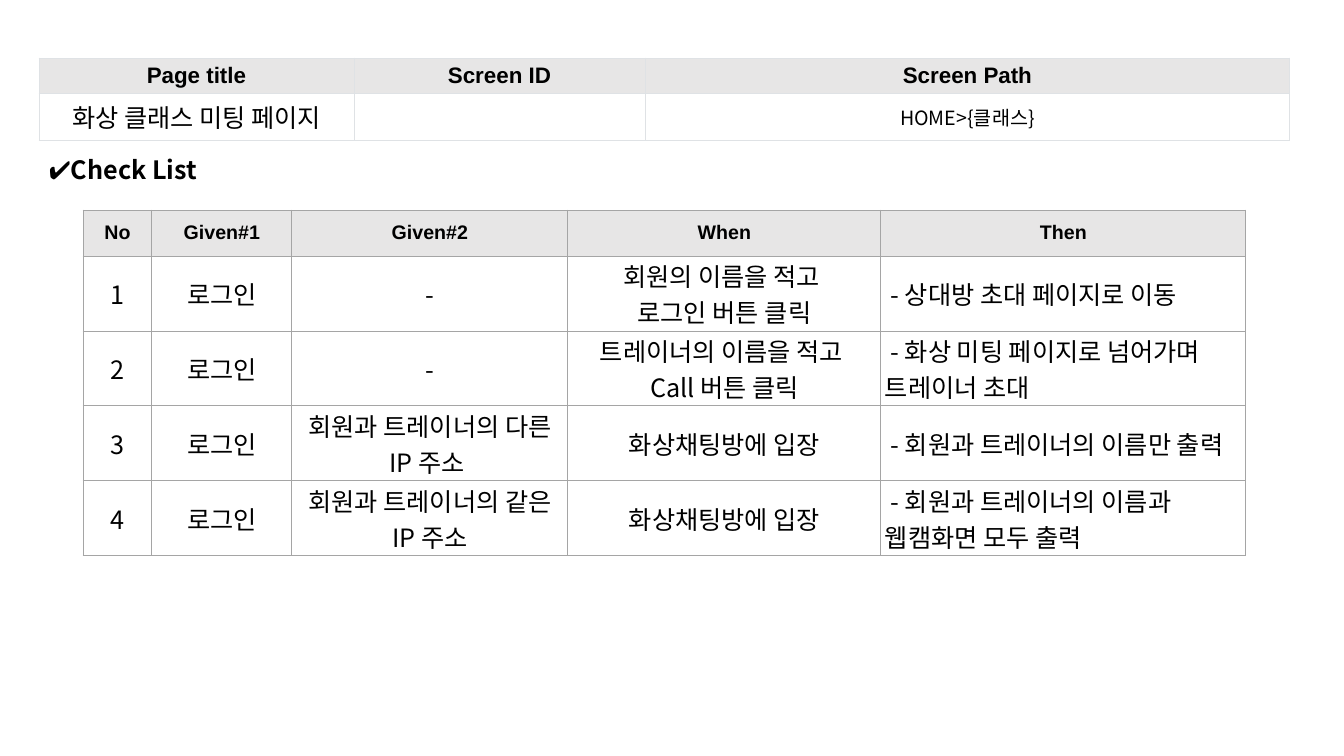
from lxml import etree
from pptx import Presentation
from pptx.dml.color import RGBColor
from pptx.enum.text import MSO_ANCHOR, PP_ALIGN
from pptx.oxml.ns import qn
from pptx.util import Emu, Pt

LEFT, CENTER = PP_ALIGN.LEFT, PP_ALIGN.CENTER
MIDDLE = MSO_ANCHOR.MIDDLE
PX = 914400 / 100.8
LATIN, KOREAN = "Arial", "Noto Sans CJK KR"
COLORS = {"text": "000000", "header": "E7E6E6", "body": "FFFFFF",
          "check_border": "A5A5A5", "info_border": "DFE2E5"}

# Content: line breaks separate paragraphs
HEADING = "✔Check List"
CHECKS = [
    ("No", "Given#1", "Given#2", "When", "Then"),
    ("1", "로그인", "-", "회원의 이름을 적고 \n로그인 버튼 클릭", " - 상대방 초대 페이지로 이동"),
    ("2", "로그인", "-", "트레이너의 이름을 적고 \nCall 버튼 클릭",
     " - 화상 미팅 페이지로 넘어가며 트레이너 초대"),
    ("3", "로그인", "회원과 트레이너의 다른 IP 주소 ", "화상채팅방에 입장",
     " - 회원과 트레이너의 이름만 출력"),
    ("4", "로그인", "회원과 트레이너의 같은 IP 주소", "화상채팅방에 입장",
     " - 회원과 트레이너의 이름과 웹캠화면 모두 출력"),
]
INFO = [("Page title", "Screen ID", "Screen Path"),
        ("화상 클래스 미팅 페이지", "", "HOME>{클래스}")]

# Layout in px; insets are (horizontal, vertical) for header and body rows
TABLES = [
    {"rows": CHECKS, "at": (83, 210), "widths": (69, 140, 276, 313, 365),
     "heights": (46, 75), "insets": ((4, 2), (4, 1)), "border": "check_border",
     "header_size": 14, "sizes": (18,) * 5, "aligns": (CENTER,) * 4 + (LEFT,)},
    {"rows": INFO, "at": (39, 58), "widths": (315, 291, 645),
     "heights": (35, 47), "insets": ((11, 5), (11, 5)), "border": "info_border",
     "header_size": 16, "sizes": (18, 18, 14), "aligns": (CENTER,) * 3},
]
HEADING_AT = (39, 149, 186, 40)


def px(value):
    return Emu(round(value * PX))


def write(frame, text, size, font, bold, align):
    for index, line in enumerate(text.split("\n")):
        para = frame.paragraphs[0] if index == 0 else frame.add_paragraph()
        para.alignment = align
        if not line:
            continue
        span = para.add_run()
        span.text = line
        span.font.size, span.font.bold, span.font.name = Pt(size), bold, font
        span.font.color.rgb = RGBColor.from_string(COLORS["text"])
        for script in ("a:ea", "a:sym"):
            etree.SubElement(span.font._element, qn(script), typeface=font)


def set_borders(cell, color):
    properties = cell._tc.get_or_add_tcPr()
    for index, side in enumerate(("a:lnL", "a:lnR", "a:lnT", "a:lnB")):
        line = etree.Element(qn(side), w=str(Pt(0.75)))
        fill = etree.SubElement(line, qn("a:solidFill"))
        etree.SubElement(fill, qn("a:srgbClr"), val=color)
        properties.insert(index, line)


def draw_table(page, plan):
    rows, widths = plan["rows"], plan["widths"]
    heights = [plan["heights"][min(index, 1)] for index in range(len(rows))]
    table = page.shapes.add_table(
        len(rows), len(widths), *map(px, plan["at"]),
        px(sum(widths)), px(sum(heights))).table
    for column, width in zip(table.columns, widths):
        column.width = px(width)
    for row_index, texts in enumerate(rows):
        table.rows[row_index].height = px(heights[row_index])
        header = row_index == 0
        across, down = plan["insets"][min(row_index, 1)]
        for column_index, text in enumerate(texts):
            cell = table.cell(row_index, column_index)
            cell.fill.solid()
            cell.fill.fore_color.rgb = RGBColor.from_string(
                COLORS["header" if header else "body"])
            set_borders(cell, COLORS[plan["border"]])
            cell.vertical_anchor = MIDDLE
            cell.margin_left = cell.margin_right = px(across)
            cell.margin_top = cell.margin_bottom = px(down)
            size = plan["header_size"] if header else plan["sizes"][column_index]
            align = CENTER if header else plan["aligns"][column_index]
            write(cell.text_frame, text, size, LATIN if header else KOREAN,
                  header, align)


def main():
    deck = Presentation()
    deck.slide_width, deck.slide_height = px(1344), px(756)
    page = deck.slides.add_slide(deck.slide_layouts[6])

    # Check list and page information tables
    for plan in TABLES:
        draw_table(page, plan)

    # Heading
    box = page.shapes.add_textbox(*map(px, HEADING_AT))
    box.text_frame.word_wrap = True
    write(box.text_frame, HEADING, 18, KOREAN, True, LEFT)

    deck.save("out.pptx")


if __name__ == "__main__":
    main()
